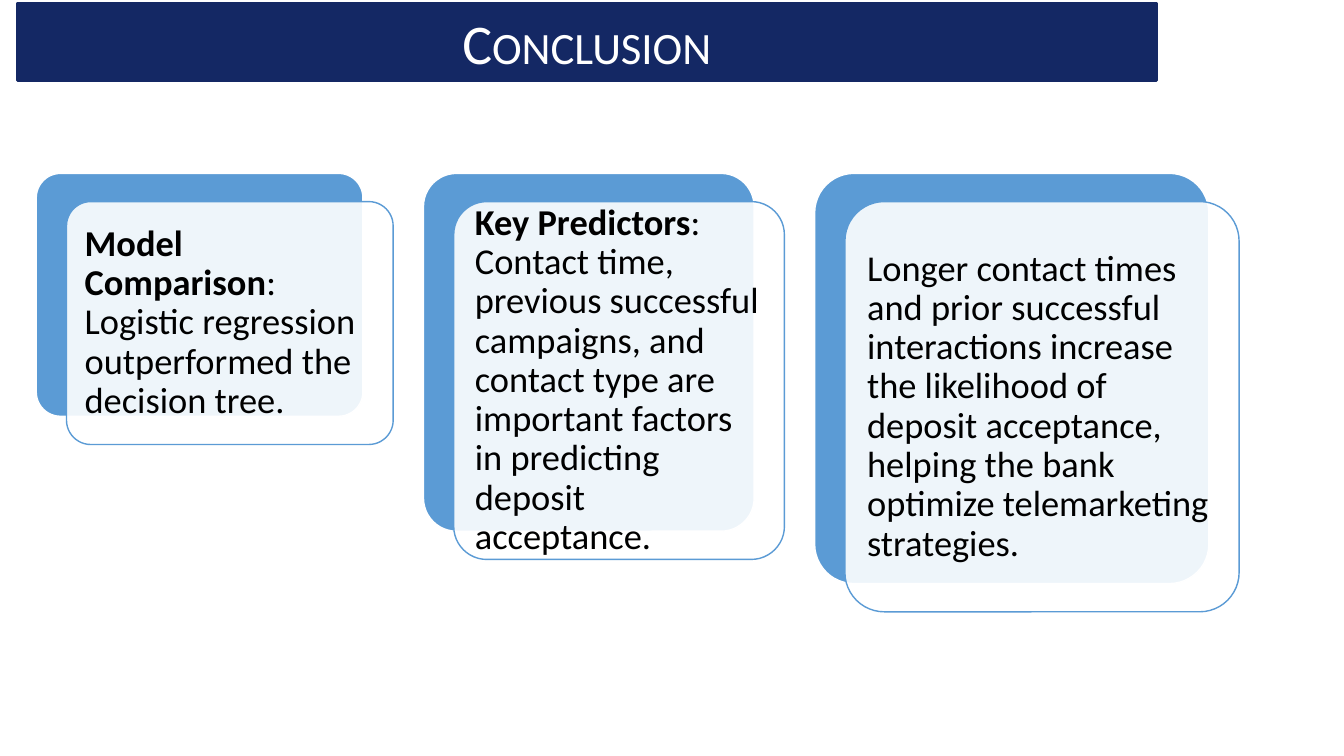
from lxml import etree
from pptx import Presentation
from pptx.dml.color import RGBColor
from pptx.enum.shapes import MSO_SHAPE
from pptx.enum.text import MSO_ANCHOR, MSO_AUTO_SIZE, PP_ALIGN
from pptx.oxml.ns import qn
from pptx.util import Pt

RECT = MSO_SHAPE.RECTANGLE
ROUND = MSO_SHAPE.ROUNDED_RECTANGLE
MIDDLE = MSO_ANCHOR.MIDDLE
CENTER = PP_ALIGN.CENTER
GROW = MSO_AUTO_SIZE.SHAPE_TO_FIT_TEXT

NAVY = RGBColor(0x14, 0x28, 0x64)
BLUE = RGBColor(0x5B, 0x9B, 0xD5)
WHITE = RGBColor(0xFF, 0xFF, 0xFF)
BLACK = RGBColor(0, 0, 0)

FONT = "Calibri"
SCALE = 9144
TOP = 172
SHIFT_X, SHIFT_Y = 30, 28
INSET = 11

CARDS = [
    (36, 324, 241, "Model Comparison",
     ": Logistic regression outperformed the decision tree."),
    (420, 328, 355, "Key Predictors",
     ": Contact time, previous successful campaigns, and contact type are "
     "important factors in predicting deposit acceptance."),
    (808, 391, 407, "",
     "Longer contact times and prior successful interactions increase the "
     "likelihood of deposit acceptance, helping the bank optimize "
     "telemarketing strategies."),
]


def px(*sizes):
    return [size * SCALE for size in sizes]


def add_panel(shapes, kind, box, fill, line, width):
    panel = shapes.add_shape(kind, *px(*box))
    panel.shadow.inherit = False
    panel.fill.solid()
    panel.fill.fore_color.rgb = fill
    panel.line.color.rgb = line
    panel.line.width = Pt(width)
    return panel


def set_font(para, size, color):
    para.font.name = FONT
    para.font.size = Pt(size)
    para.font.color.rgb = color


def add_title(shapes, box, text):
    bar = add_panel(shapes, RECT, box, NAVY, NAVY, 2)
    frame = bar.text_frame
    frame.word_wrap = True
    frame.auto_size = GROW
    frame.vertical_anchor = MIDDLE
    para = frame.paragraphs[0]
    para.alignment = CENTER
    set_font(para, 40, WHITE)
    run = para.add_run()
    run.text = text
    run.font._element.set("cap", "small")


def add_card(shapes, box, head, body):
    left, top, width, height = box
    back = add_panel(shapes, ROUND, box, BLUE, WHITE, 1)
    left, top = left + SHIFT_X, top + SHIFT_Y
    front = add_panel(shapes, ROUND, (left, top, width, height),
                      WHITE, BLUE, 1)
    for panel in (back, front):
        panel.adjustments[0] = 0.1
    tint = front.fill._xPr.find(qn("a:solidFill"))[0]
    etree.SubElement(tint, qn("a:alpha")).set("val", "90000")

    pad = round(min(width, height) * 0.029)
    label = shapes.add_textbox(*px(left + pad, top + pad,
                                   width - 2 * pad, height - 2 * pad))
    frame = label.text_frame
    frame.word_wrap = True
    frame.vertical_anchor = MIDDLE
    frame.margin_left = frame.margin_right = INSET * SCALE
    frame.margin_top = frame.margin_bottom = INSET * SCALE
    para = frame.paragraphs[0]
    para.line_spacing = 0.9
    set_font(para, 26, BLACK)
    if head:
        run = para.add_run()
        run.text = head
        run.font.bold = True
    para.add_run().text = body


def main():
    deck = Presentation()
    deck.slide_width, deck.slide_height = px(1333, 750)
    slide = deck.slides.add_slide(deck.slide_layouts[6])
    add_title(slide.shapes, (17, 3, 1130, 77), "Conclusion")
    group = slide.shapes.add_group_shape()
    for left, width, height, head, body in CARDS:
        add_card(group.shapes, (left, TOP, width, height), head, body)
    deck.save("out.pptx")


if __name__ == "__main__":
    main()
